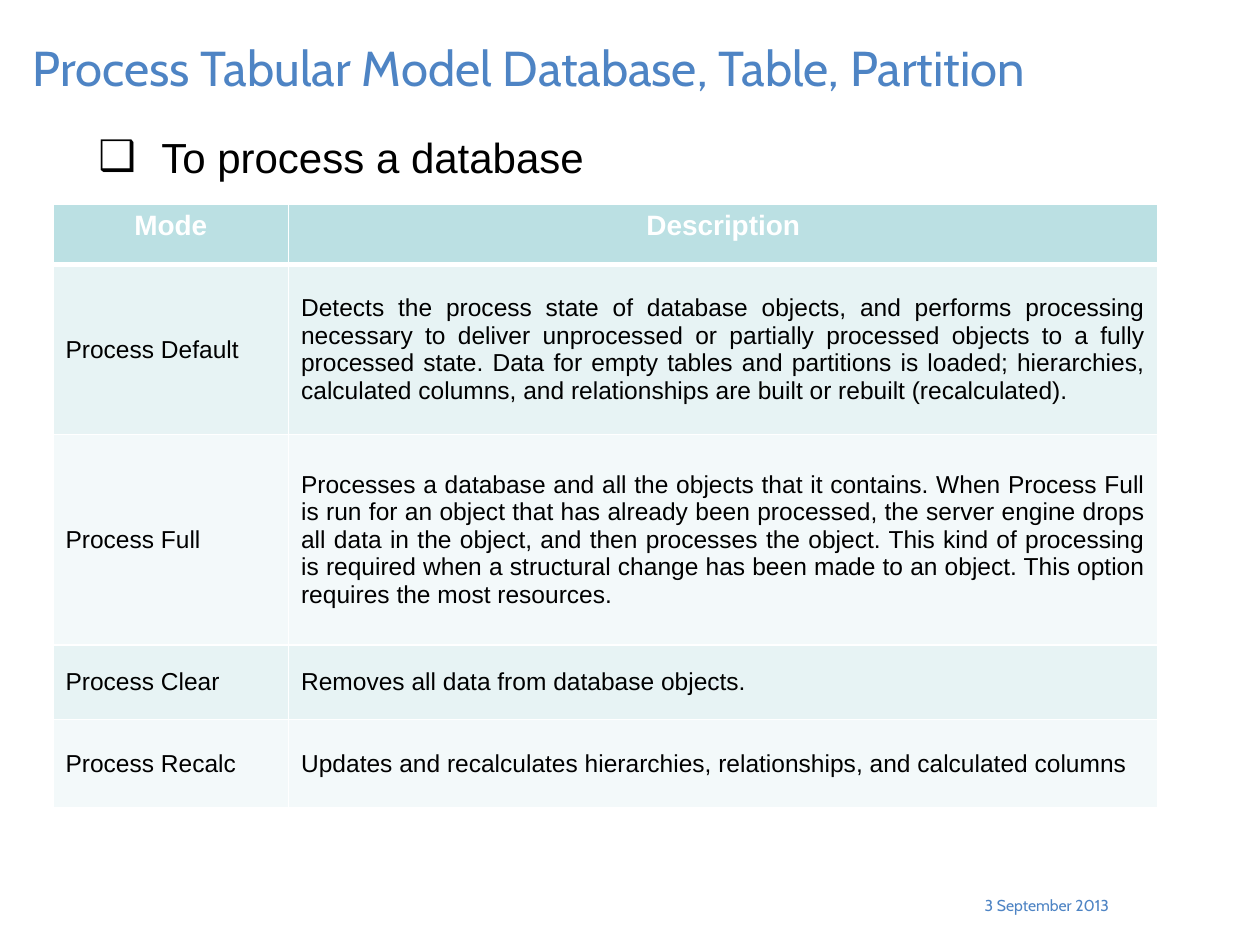
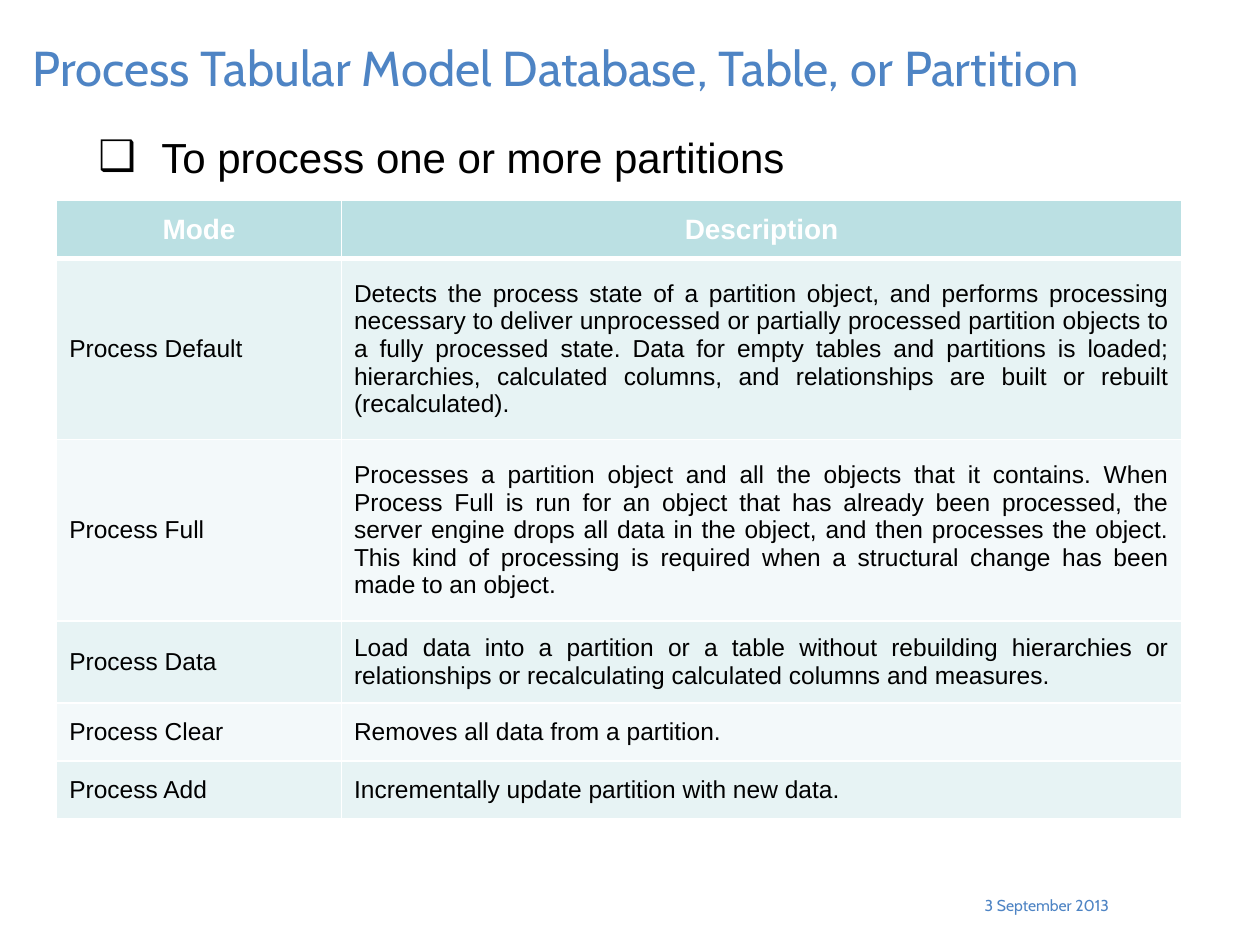
from lxml.etree import SubElement
from pptx import Presentation
from pptx.dml.color import RGBColor
from pptx.enum.text import MSO_ANCHOR as Anchor, MSO_AUTO_SIZE as AutoSize, PP_ALIGN as Align
from pptx.oxml import parse_xml
from pptx.oxml.ns import nsdecls, qn
from pptx.util import Inches, Pt

# Shared look
BLUE, BLACK, WHITE = "4E84C4", "000000", "FFFFFF"
HEADER_FILL = "BBE0E3"
BAND_FILLS = ("E7F3F4", "F3F9FA")
HEADING_FONT, TEXT_FONT = "Cabin", "Arial"
DATE = "3 September 2013"
TABLE_HEAD = ("Mode", "Description")

DATABASE_MODES = [
    ("Process Default",
     "Detects the process state of database objects, and performs processing necessary to "
     "deliver unprocessed or partially processed objects to a fully processed state. Data for "
     "empty tables and partitions is loaded; hierarchies, calculated columns, and relationships "
     "are built or rebuilt (recalculated)."),
    ("Process Full",
     "Processes a database and all the objects that it contains. When Process Full is run for an "
     "object that has already been processed, the server engine drops all data in the object, and "
     "then processes the object. This kind of processing is required when a structural change has "
     "been made to an object. This option requires the most resources."),
    ("Process Clear", "Removes all data from database objects."),
    ("Process Recalc",
     "Updates and recalculates hierarchies, relationships, and calculated columns"),
]

PARTITION_MODES = [
    ("Process Default",
     "Detects the process state of a partition object, and performs processing necessary to "
     "deliver unprocessed or partially processed partition objects to a fully processed state. "
     "Data for empty tables and partitions is loaded; hierarchies, calculated columns, and "
     "relationships are built or rebuilt (recalculated)."),
    ("Process Full",
     "Processes a partition object and all the objects that it contains. When Process Full is run "
     "for an object that has already been processed, the server engine drops all data in the "
     "object, and then processes the object. This kind of processing is required when a structural "
     "change has been made to an object."),
    ("Process Data",
     "Load data into a partition or a table without rebuilding hierarchies or relationships or "
     "recalculating calculated columns and measures."),
    ("Process Clear", "Removes all data from a partition."),
    ("Process Add", "Incrementally update partition with new data."),
]


def color(hex_string):
    return RGBColor.from_string(hex_string)


def place(shape, left, top, width, height):
    shape.left, shape.top = Inches(left), Inches(top)
    shape.width, shape.height = Inches(width), Inches(height)


def write(text_frame, text, size, font, text_color, align, bold=False):
    """Put one run into the first paragraph and return that paragraph."""
    paragraph = text_frame.paragraphs[0]
    paragraph.alignment = align
    run = paragraph.add_run()
    run.text = text
    run.font.size, run.font.name, run.font.bold = Pt(size), font, bold
    run.font.color.rgb = color(text_color)
    return paragraph


def prepare_frame(shape):
    frame = shape.text_frame
    frame.word_wrap = True
    frame.auto_size = AutoSize.NONE
    frame.vertical_anchor = Anchor.TOP
    return frame


def add_title(slide, text):
    title = slide.shapes.title
    place(title, 0.16, 0.25, 9.67, 0.67)
    write(prepare_frame(title), text, 28, HEADING_FONT, BLUE, Align.LEFT)


def add_bullet(slide, text):
    body = slide.placeholders[1]
    place(body, 0.18, 0.79, 9.38, 0.63)
    paragraph = write(prepare_frame(body), text, 24, TEXT_FONT, BLACK, Align.JUSTIFY)
    paragraph.level = 1
    paragraph.line_spacing = 1.5
    paragraph.space_before = Pt(0)
    properties = paragraph._p.get_or_add_pPr()
    properties.set("marL", str(Inches(1)))
    properties.set("indent", str(Inches(-0.5)))
    bullet_color = SubElement(properties, qn("a:buClr"))
    SubElement(bullet_color, qn("a:srgbClr"), val=BLACK)
    SubElement(properties, qn("a:buFont"), typeface=TEXT_FONT)
    SubElement(properties, qn("a:buChar"), char="❑")


def add_date(slide):
    box = slide.shapes.add_textbox(Inches(7.35), Inches(7.06), Inches(1.55), Inches(0.35))
    write(prepare_frame(box), DATE, 9, HEADING_FONT, BLUE, Align.RIGHT)


def set_borders(cell, top=1, bottom=1):
    properties = cell._tc.get_or_add_tcPr()
    widths = {"lnL": 1, "lnR": 1, "lnT": top, "lnB": bottom}
    for position, (side, width) in enumerate(widths.items()):
        properties.insert(position, parse_xml(
            f'<a:{side} {nsdecls("a")} w="{Pt(width)}"><a:solidFill>'
            f'<a:srgbClr val="{WHITE}"/></a:solidFill></a:{side}>'))


def fill_cell(cell, text, fill, size, text_color, align, anchor, bold=False):
    cell.fill.solid()
    cell.fill.fore_color.rgb = color(fill)
    cell.vertical_anchor = anchor
    write(cell.text_frame, text, size, TEXT_FONT, text_color, align, bold)


def add_mode_table(slide, left, top, widths, heights, modes, head_anchor):
    frame = slide.shapes.add_table(len(heights), len(widths), Inches(left), Inches(top),
                                   Inches(sum(widths)), Inches(sum(heights)))
    table = frame.table
    table.first_row = table.horz_banding = False
    for column, width in zip(table.columns, widths):
        column.width = Inches(width)
    for row, height in zip(table.rows, heights):
        row.height = Inches(height)

    # Header row with a thick line under it
    for cell, text in zip(table.rows[0].cells, TABLE_HEAD):
        fill_cell(cell, text, HEADER_FILL, 16, WHITE, Align.CENTER, head_anchor, bold=True)
        set_borders(cell, bottom=3)

    # Banded mode rows
    for index, mode in enumerate(modes):
        for cell, text in zip(table.rows[index + 1].cells, mode):
            fill_cell(cell, text, BAND_FILLS[index % 2], 14, BLACK, Align.JUSTIFY, Anchor.MIDDLE)
            set_borders(cell, top=3 if index == 0 else 1)


def add_mode_slide(presentation, title, bullet, **table):
    slide = presentation.slides.add_slide(presentation.slide_layouts[1])
    add_date(slide)
    add_title(slide, title)
    add_bullet(slide, bullet)
    add_mode_table(slide, **table)


def main():
    presentation = Presentation()
    presentation.slide_width, presentation.slide_height = Inches(10), Inches(7.5)

    # Database modes
    add_mode_slide(presentation, "Process Tabular Model Database, Table, Partition",
                   "To process a database",
                   left=0.42, top=1.62, widths=(1.87, 6.9),
                   heights=(0.48, 1.35, 1.67, 0.59, 0.7),
                   modes=DATABASE_MODES, head_anchor=Anchor.TOP)

    # Partition modes
    add_mode_slide(presentation, "Process Tabular Model Database, Table, or Partition",
                   "To process one or more partitions",
                   left=0.45, top=1.59, widths=(2.26, 6.67),
                   heights=(0.46, 1.44, 1.44, 0.65, 0.46, 0.46),
                   modes=PARTITION_MODES, head_anchor=Anchor.MIDDLE)

    presentation.save("out.pptx")


if __name__ == "__main__":
    main()
